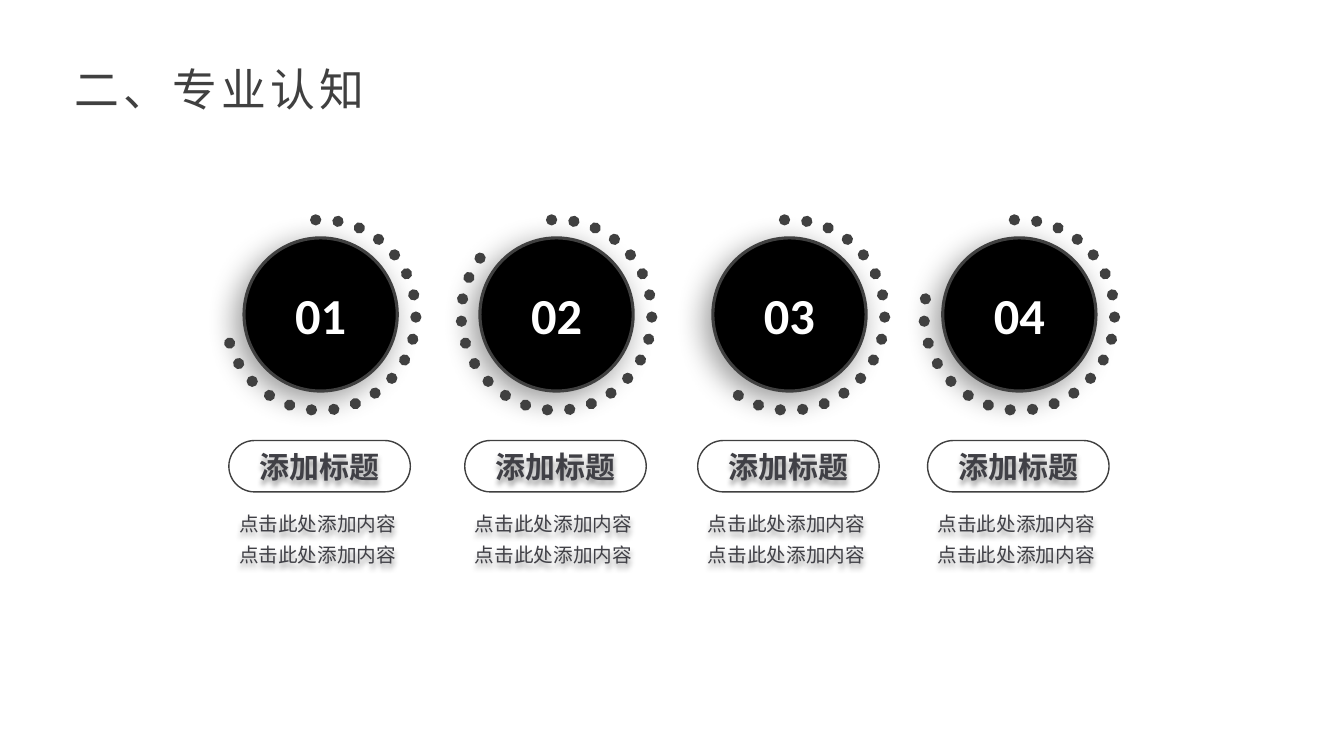
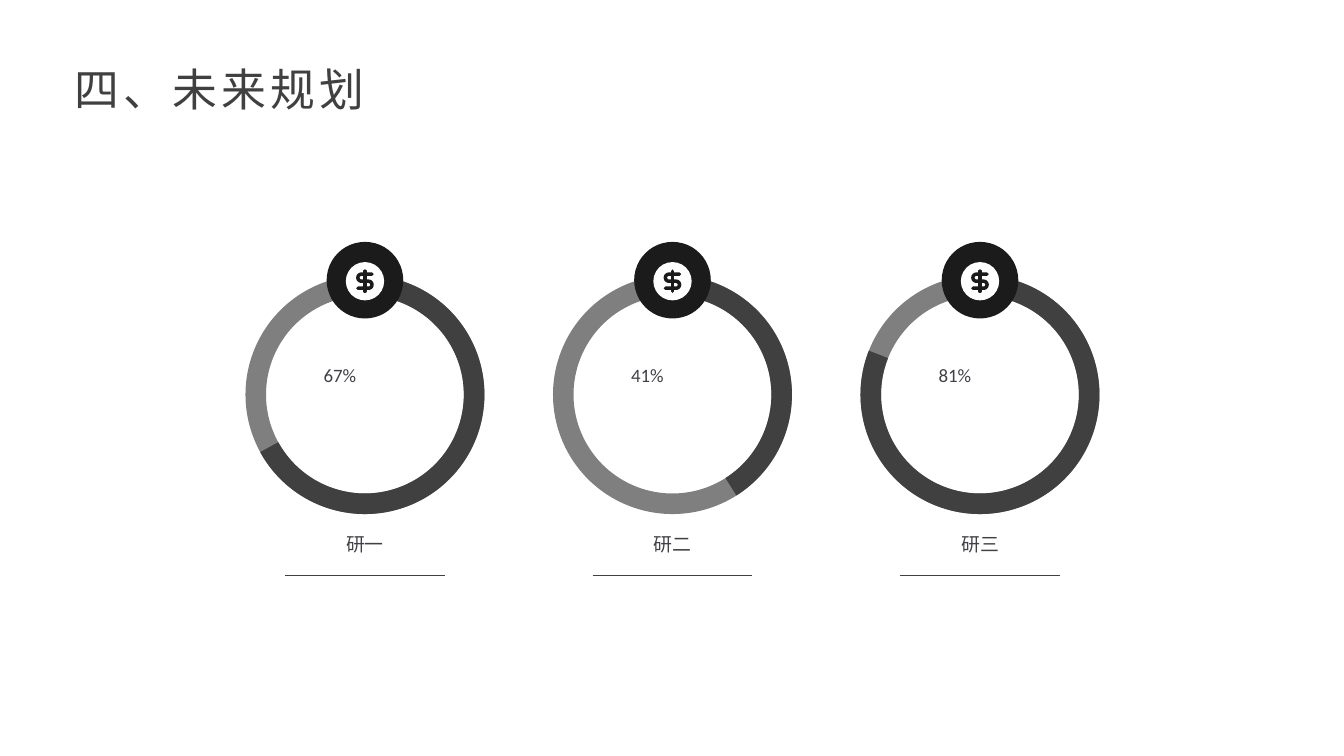
import math

from lxml import etree
from pptx import Presentation
from pptx.dml.color import RGBColor
from pptx.enum.dml import MSO_LINE
from pptx.enum.shapes import MSO_CONNECTOR, MSO_SHAPE
from pptx.enum.text import MSO_ANCHOR, PP_ALIGN
from pptx.oxml.ns import qn
from pptx.util import Inches, Pt

OVAL, ARC, PILL = MSO_SHAPE.OVAL, MSO_SHAPE.ARC, MSO_SHAPE.ROUNDED_RECTANGLE
DONUT, BLOCK_ARC = MSO_SHAPE.DONUT, MSO_SHAPE.BLOCK_ARC
STRAIGHT = MSO_CONNECTOR.STRAIGHT
DOTTED = MSO_LINE.ROUND_DOT
LEFT, CENTER = PP_ALIGN.LEFT, PP_ALIGN.CENTER
TOP, MIDDLE = MSO_ANCHOR.TOP, MSO_ANCHOR.MIDDLE

FONT = "Calibri"
BLACK, WHITE = "000000", "FFFFFF"
DARK, TEXT, TRACK, BADGE = "404040", "404046", "7F7F7F", "1B1B1B"
TITLE_ONLY = 5
ANGLE_UNIT = 0.6
RING_WIDTH = 0.086

TOPICS = [
    (3.18, "01", 163.87),
    (5.52, "02", 222.36),
    (7.83, "03", 125.39),
    (10.11, "04", 200.45),
]
YEARS = [("研一", 67), ("研二", 41), ("研三", 81)]


def rgb(value):
    return RGBColor.from_string(value)


def add_run(paragraph, text, size, color, bold=False):
    run = paragraph.add_run()
    run.text = text
    font = run.font
    font.name, font.size, font.bold = FONT, Pt(size), bold
    font.color.rgb = rgb(color)


def set_frame(frame, anchor=TOP, inset=True, wrap=True):
    frame.word_wrap = wrap
    frame.vertical_anchor = anchor
    if not inset:
        frame.margin_left = frame.margin_right = 0
        frame.margin_top = frame.margin_bottom = 0


def add_shadow(shape, alpha, blur, distance, angle):
    shape.shadow.inherit = False
    effects = shape.element.spPr.find(qn("a:effectLst"))
    shadow = etree.SubElement(
        effects, qn("a:outerShdw"), blurRad=str(Pt(blur)), dist=str(Pt(distance)),
        dir=str(angle * 60000), algn="ctr", rotWithShape="0")
    color = etree.SubElement(shadow, qn("a:srgbClr"), val=BLACK)
    etree.SubElement(color, qn("a:alpha"), val=str(alpha * 1000))


def paint(shape, fill=None, line=None, weight=1):
    shape.shadow.inherit = False
    if fill:
        shape.fill.solid()
        shape.fill.fore_color.rgb = rgb(fill)
    else:
        shape.fill.background()
    if line:
        shape.line.color.rgb = rgb(line)
        shape.line.width = Pt(weight)
    else:
        shape.line.fill.background()


def add_centered(slide, kind, center, top, width, height, adjustments=(), **style):
    shape = slide.shapes.add_shape(
        kind, Inches(center - width / 2), Inches(top), Inches(width), Inches(height))
    for index, value in enumerate(adjustments):
        shape.adjustments[index] = value
    paint(shape, **style)
    return shape


def add_label(slide, center, top, width, height, lines, size, bold=False,
              align=CENTER, spacing=None, **frame_options):
    label = slide.shapes.add_textbox(
        Inches(center - width / 2), Inches(top), Inches(width), Inches(height))
    frame = label.text_frame
    set_frame(frame, **frame_options)
    for index, line in enumerate(lines):
        paragraph = frame.add_paragraph() if index else frame.paragraphs[0]
        paragraph.alignment = align
        if spacing:
            paragraph.line_spacing = spacing
        add_run(paragraph, line, size, TEXT, bold)
    return label


def round_ends(shape):
    line = shape.element.spPr.find(qn("a:ln"))
    line.set("cap", "rnd")
    return line


def add_titled_slide(deck, text):
    slide = deck.slides.add_slide(deck.slide_layouts[TITLE_ONLY])
    title = slide.shapes.title
    title.left, title.top = Inches(0.64), Inches(0.56)
    title.width, title.height = Inches(3.67), Inches(0.64)
    set_frame(title.text_frame)
    paragraph = title.text_frame.paragraphs[0]
    paragraph.alignment = LEFT
    add_run(paragraph, text, 32, DARK)
    for properties in title.element.iter(qn("a:rPr")):
        properties.set("spc", "300")
    return slide


def add_topic(slide, center, number, end_angle):
    disc = add_centered(slide, OVAL, center, 2.36, 1.52, 1.52,
                        fill=BLACK, line=DARK, weight=2.25)
    add_shadow(disc, 40, 22, 7, 135)
    set_frame(disc.text_frame, MIDDLE, inset=False)
    paragraph = disc.text_frame.paragraphs[0]
    paragraph.alignment = CENTER
    add_run(paragraph, number, 36, WHITE, bold=True)

    orbit = add_centered(slide, ARC, center, 2.18, 1.89, 1.89,
                         (267 * ANGLE_UNIT, end_angle * ANGLE_UNIT),
                         line=DARK, weight=8)
    orbit.line.dash_style = DOTTED
    round_ends(orbit)

    heading = add_label(slide, center - 0.01, 4.45, 1.34, 0.36, ["添加标题"],
                        21.4, bold=True, inset=False)
    add_centered(slide, PILL, center - 0.01, 4.37, 1.8, 0.51, (0.5,), line=DARK)
    details = add_label(slide, center - 0.03, 4.96, 1.99, 0.71,
                        ["点击此处添加内容"] * 2, 14, spacing=1.3)
    for label in (heading, details):
        add_shadow(label, 40, 4, 3, 90)


def half_circle(x, y, radius, turn):
    angles = [math.radians(-90 + turn * step * 15) for step in range(13)]
    return [(x + radius * math.cos(a), y + radius * math.sin(a)) for a in angles]


def add_dollar(slide, x, y):
    def place(points):
        return [(Inches(x + dx), Inches(y + dy)) for dx, dy in points]

    curve = place([(0.07, -0.07)] + half_circle(-0.035, -0.035, 0.035, -1)
                  + half_circle(0.035, 0.035, 0.035, 1) + [(-0.07, 0.07)])
    stem_top, stem_bottom = place([(0, -0.1), (0, 0.1)])
    builder = slide.shapes.build_freeform(*curve[0], scale=1.0)
    builder.add_line_segments(curve[1:], close=False)
    builder.move_to(*stem_top)
    builder.add_line_segments([stem_bottom], close=False)
    dollar = builder.convert_to_shape()
    paint(dollar, line=BADGE, weight=2.5)
    etree.SubElement(round_ends(dollar), qn("a:round"))


def add_rule(slide, center, y, width):
    rule = slide.shapes.add_connector(
        STRAIGHT, Inches(center - width / 2), Inches(y),
        Inches(center + width / 2), Inches(y))
    rule.line.color.rgb = rgb(TEXT)
    rule.line.width = Pt(1)
    etree.SubElement(rule.element.spPr, qn("a:effectLst"))


def add_year(slide, center, year, percent):
    end_angle = (270 + 3.6 * percent) % 360
    add_centered(slide, DONUT, center, 2.73, 2.37, 2.37, (RING_WIDTH,), fill=TRACK)
    add_centered(slide, BLOCK_ARC, center, 2.73, 2.37, 2.37,
                 (270 * ANGLE_UNIT, end_angle * ANGLE_UNIT, RING_WIDTH), fill=DARK)
    add_label(slide, center, 3.61, 0.82, 0.62, [f"{percent}%"], 13.5,
              align=LEFT, inset=False, wrap=False)
    add_centered(slide, OVAL, center, 2.4, 0.76, 0.76, fill=BADGE)
    add_centered(slide, OVAL, center, 2.6, 0.38, 0.38, fill=WHITE)
    add_dollar(slide, center, 2.79)
    add_rule(slide, center, 5.71, 1.58)
    add_label(slide, center, 5.18, 1.51, 0.44, [year], 13.5,
              anchor=MIDDLE, inset=False, wrap=False)


def main():
    deck = Presentation()
    deck.slide_width, deck.slide_height = Inches(13.33), Inches(7.5)

    knowledge = add_titled_slide(deck, "二、专业认知")
    for center, number, end_angle in TOPICS:
        add_topic(knowledge, center, number, end_angle)

    plan = add_titled_slide(deck, "四、未来规划")
    for index, (year, percent) in enumerate(YEARS):
        add_year(plan, 3.62 + 3.05 * index, year, percent)

    deck.save("out.pptx")


if __name__ == "__main__":
    main()
